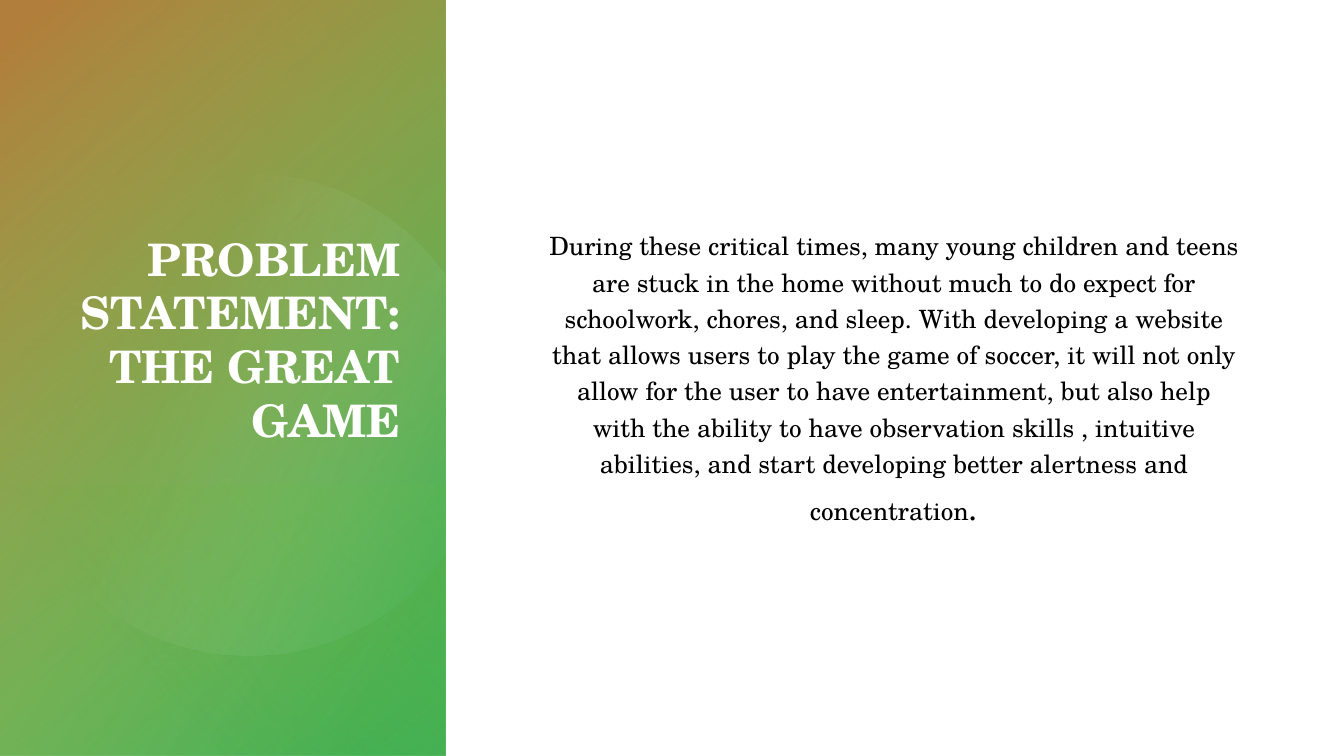
from math import acos, cos, sin

from lxml.etree import SubElement
from pptx import Presentation
from pptx.dml.color import RGBColor
from pptx.enum.shapes import MSO_SHAPE as Preset
from pptx.enum.text import MSO_ANCHOR as Anchor, PP_ALIGN as Align
from pptx.oxml.ns import qn
from pptx.util import Cm, Pt

TITLE = "PROBLEM STATEMENT: THE GREAT GAME"
STATEMENT = (
    "During these critical times, many young children and teens are stuck in the home "
    "without much to do expect for schoolwork, chores, and sleep. With developing a website "
    "that allows users to play the game of soccer, it will not only allow for the user to "
    "have entertainment, but also help with the ability to have observation skills , "
    "intuitive abilities, and start developing better alertness and concentration"
)
FULL_STOP = "."

FONT = "TeX Gyre Schola"
COLORS = {
    "white": "FFFFFF", "black": "000000", "emerald": "3BB158", "green": "5BB748",
    "olive": "81B13B", "orange": "B17F3B", "pale": "E5F1D4",
}

# Lengths in cm
SLIDE_W, SLIDE_H = 33.87, 19.05
PANEL_W = 11.23
FOOT_H = 6.81
# Panel layers: top, height, gradient angle, stops (position %, colour, opacity %)
LAYERS = [
    (0, SLIDE_H, 60, [(0, "emerald", 100), (8, "emerald", 100), (100, "green", 72)]),
    (0, SLIDE_H, 40, [(0, "olive", 0), (96, "orange", 100), (100, "orange", 100)]),
    (SLIDE_H - FOOT_H, FOOT_H, 130,
     [(0, "green", 35), (2, "green", 35), (67, "olive", 0), (100, "olive", 0)]),
]
DISC_X, DISC_Y, DISC_R = 6.27, 10.45, 6.08
DISC_ANGLE = 21.6
DISC_STOPS = [(0, "pale", 0), (39, "pale", 0), (100, "emerald", 29)]
ARC_STEPS = 120


def fill_gradient(shape, angle, stops):
    """Replace the fill with a linear gradient; angle runs clockwise in degrees."""
    shape.shadow.inherit = False
    shape.line.fill.background()
    shape.fill.background()
    properties = shape._element.spPr
    empty_fill = properties.find(qn("a:noFill"))
    gradient = SubElement(properties, qn("a:gradFill"), rotWithShape="1")
    properties.replace(empty_fill, gradient)
    stop_list = SubElement(gradient, qn("a:gsLst"))
    for position, color, opacity in stops:
        stop = SubElement(stop_list, qn("a:gs"), pos=str(position * 1000))
        rgb = SubElement(stop, qn("a:srgbClr"), val=COLORS[color])
        if opacity < 100:
            SubElement(rgb, qn("a:alpha"), val=str(opacity * 1000))
    SubElement(gradient, qn("a:lin"), ang=str(round(angle * 60000)), scaled="0")


def add_layer(slide, top, height, angle, stops):
    """Add a mirrored rectangle, turned a quarter, that covers the panel's width."""
    left, middle = (PANEL_W - height) / 2, top + height / 2
    layer = slide.shapes.add_shape(
        Preset.RECTANGLE, Cm(left), Cm(middle - PANEL_W / 2), Cm(height), Cm(PANEL_W))
    layer.rotation = 90
    layer._element.spPr.find(qn("a:xfrm")).set("flipH", "1")
    fill_gradient(layer, angle, stops)


def add_disc(slide):
    """Add the disc cut off by the panel's right edge."""
    cut = acos((PANEL_W - DISC_X) / DISC_R)
    sweep = 2 * (acos(-1) - cut)
    angles = [cut + sweep * step / ARC_STEPS for step in range(ARC_STEPS + 1)]
    arc = [(Cm(DISC_X + DISC_R * cos(a)), Cm(DISC_Y + DISC_R * sin(a))) for a in angles]
    outline = slide.shapes.build_freeform(*arc[0])
    outline.add_line_segments(arc[1:], close=True)
    fill_gradient(outline.convert_to_shape(), DISC_ANGLE, DISC_STOPS)


def add_text(slide, box, anchor, align, size, color, runs):
    frame = slide.shapes.add_textbox(*map(Cm, box)).text_frame
    frame.word_wrap = True
    frame.vertical_anchor = anchor
    frame.margin_left = frame.margin_top = frame.margin_right = frame.margin_bottom = 0
    paragraph = frame.paragraphs[0]
    paragraph.alignment = align
    paragraph.font.name = FONT
    paragraph.font.size = Pt(size)
    paragraph.font.color.rgb = RGBColor.from_string(COLORS[color])
    for text in runs:
        paragraph.add_run().text = text
    return paragraph


def main():
    deck = Presentation()
    deck.slide_width, deck.slide_height = Cm(SLIDE_W), Cm(SLIDE_H)
    slide = deck.slides.add_slide(deck.slide_layouts[6])
    slide.background.fill.solid()
    slide.background.fill.fore_color.rgb = RGBColor.from_string(COLORS["white"])

    for layer in LAYERS:
        add_layer(slide, *layer)
    add_disc(slide)

    title = add_text(slide, (1.07, 2.87, 9.02, 8.38), Anchor.BOTTOM, Align.RIGHT,
                     32, "white", [TITLE])
    title.font.bold = True
    statement = add_text(slide, (13.82, 5.66, 17.42, 7.75), Anchor.TOP, Align.CENTER,
                         18, "black", [STATEMENT, FULL_STOP])
    statement.line_spacing = 1.2
    statement.runs[-1].font.size = Pt(24)

    deck.save("out.pptx")


if __name__ == "__main__":
    main()
